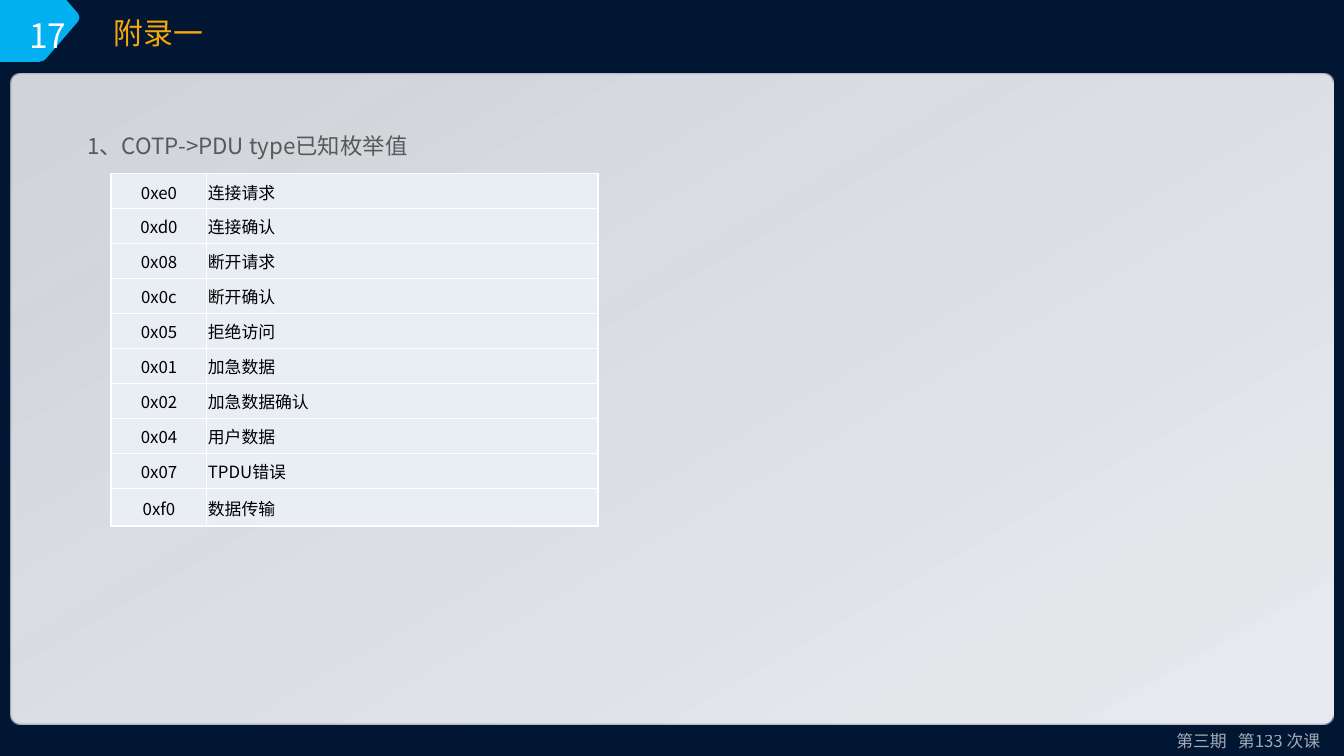
import pptx
import pptx.util
import pptx.dml.color
import pptx.enum.shapes
import pptx.enum.text
import pptx.oxml.ns
from lxml import etree

Pt = pptx.util.Pt
qn = pptx.oxml.ns.qn
ALIGN = pptx.enum.text.PP_ALIGN
FONT = "Noto Sans CJK SC"

PDU_TYPES = [
    ("0xe0", "连接请求"),
    ("0xd0", "连接确认"),
    ("0x08", "断开请求"),
    ("0x0c", "断开确认"),
    ("0x05", "拒绝访问"),
    ("0x01", "加急数据"),
    ("0x02", "加急数据确认"),
    ("0x04", "用户数据"),
    ("0x07", "TPDU错误"),
    ("0xf0", "数据传输"),
]


def paint(color_format, hex_color, alpha=None):
    """Set a colour, with an optional opacity in percent."""
    color_format.rgb = pptx.dml.color.RGBColor.from_string(hex_color)
    if alpha is not None:
        for node in color_format._xFill.iter(qn("a:srgbClr")):
            etree.SubElement(node, qn("a:alpha"), val=str(alpha * 1000))


def fill_solid(fill, hex_color, alpha=None):
    fill.solid()
    fill.fore_color.rgb = pptx.dml.color.RGBColor.from_string(hex_color)
    if alpha is not None:
        color = fill._xPr.find(".//" + qn("a:srgbClr"))
        etree.SubElement(color, qn("a:alpha"), val=str(alpha * 1000))


def write_text(frame, text, size=9, color="000000", alpha=None,
               align=ALIGN.LEFT, line_spacing=None, word_gap=None):
    """Write one paragraph; word_gap widens the first space, in points."""
    paragraph = frame.paragraphs[0]
    paragraph.alignment = align
    if line_spacing:
        paragraph.line_spacing = line_spacing
    parts = text.partition(" ") if word_gap else (text,)
    for part in parts:
        run = paragraph.add_run()
        run.text = part
        run.font.size = Pt(size)
        fill_solid(run.font.fill, color, alpha)
        run.font.name = FONT
        properties = run._r.get_or_add_rPr()
        etree.SubElement(properties, qn("a:ea"), typeface=FONT)
        if word_gap and part == " ":
            properties.set("spc", str(word_gap * 100))


class Deck:
    """Holds the slide and the shared look of its elements."""
    cell_fill = "E9EDF4"
    border = "FFFFFF"

    def __init__(self, width, height, background):
        self.file = pptx.Presentation()
        self.file.slide_width, self.file.slide_height = Pt(width), Pt(height)
        self.slide = self.file.slides.add_slide(self.file.slide_layouts[6])
        fill_solid(self.slide.background.fill, background)

    def outline(self, points, color):
        builder = self.slide.shapes.build_freeform(
            Pt(points[0][0]), Pt(points[0][1]))
        builder.add_line_segments([(Pt(x), Pt(y)) for x, y in points[1:]])
        shape = builder.convert_to_shape()
        shape.shadow.inherit = False
        fill_solid(shape.fill, color)
        shape.line.fill.background()

    def gradient_panel(self, left, top, width, height, radius, stops, angle):
        shape = self.slide.shapes.add_shape(
            pptx.enum.shapes.MSO_SHAPE.ROUNDED_RECTANGLE,
            Pt(left), Pt(top), Pt(width), Pt(height))
        shape.adjustments[0] = radius
        shape.shadow.inherit = False
        shape.line.fill.background()
        shape.fill.gradient()
        shape.fill.gradient_angle = 360 - angle  # counter-clockwise
        for stop, (position, color, alpha) in zip(
                shape.fill.gradient_stops, stops):
            stop.position = position
            stop.color.rgb = pptx.dml.color.RGBColor.from_string(color)
            node = stop._gs.find(qn("a:srgbClr"))
            etree.SubElement(node, qn("a:alpha"), val=str(alpha * 1000))

    def text(self, left, top, width, height, text, **style):
        frame = self.slide.shapes.add_textbox(
            Pt(left), Pt(top), Pt(width), Pt(height)).text_frame
        frame.word_wrap = True
        frame.auto_size = pptx.enum.text.MSO_AUTO_SIZE.SHAPE_TO_FIT_TEXT
        write_text(frame, text, **style)

    def table(self, left, top, widths, heights, rows, aligns):
        table = self.slide.shapes.add_table(
            len(rows), len(widths), Pt(left), Pt(top),
            Pt(sum(widths)), Pt(sum(heights))).table
        table.first_row = table.horz_banding = False
        for column, width in zip(table.columns, widths):
            column.width = Pt(width)
        for row, height, values in zip(table.rows, heights, rows):
            row.height = Pt(height)
            for cell, value, align in zip(row.cells, values, aligns):
                self.cell(cell, value, align)

    def cell(self, cell, value, align):
        cell.margin_left = cell.margin_right = cell.margin_top = Pt(0.7)
        cell.margin_bottom = 0
        cell.vertical_anchor = pptx.enum.text.MSO_ANCHOR.MIDDLE
        write_text(cell.text_frame, value, align=align)
        properties = cell._tc.get_or_add_tcPr()
        for side in ("a:lnL", "a:lnR", "a:lnT", "a:lnB"):
            line = etree.SubElement(properties, qn(side), w=str(Pt(1)))
            solid = etree.SubElement(line, qn("a:solidFill"))
            etree.SubElement(solid, qn("a:srgbClr"), val=self.border)
        fill_solid(cell.fill, self.cell_fill)


def main():
    deck = Deck(720, 405, "001633")

    # Page number tab
    deck.outline([(0, 0), (35.6, 0), (41.6, 7), (42.3, 8.2), (42.5, 9.4),
                  (42.3, 10.6), (41.6, 11.8), (24.5, 31.6), (23, 32.7),
                  (20.5, 33.2), (0, 33.2)], "00B0F0")

    # Content panel
    deck.gradient_panel(5.6, 39.4, 708.8, 348.6, 0.016,
                        [(0.05, "FFFFFF", 81), (1, "FBFCFE", 92)], 60)

    # Footer, page number and headings
    deck.text(586.8, 388.1, 127.5, 18, "第三期 第133 次课", color="FFFFFF",
              alpha=63, align=ALIGN.RIGHT, word_gap=4)
    deck.text(8.6, 4.3, 36, 29, "17", size=18, color="FFFFFF")
    deck.text(54, 4.3, 453.6, 26.6, "附录一", size=16, color="F5A609")
    deck.text(39.6, 59.8, 607, 26, "1、COTP->PDU type已知枚举值",
              size=12, color="595959", line_spacing=1.5)

    # PDU type values
    heights = [18.75] * (len(PDU_TYPES) - 1) + [20.2]
    deck.table(59.6, 93, [51.1, 209.6], heights, PDU_TYPES,
               [ALIGN.CENTER, ALIGN.LEFT])

    deck.file.save("out.pptx")


if __name__ == "__main__":
    main()
